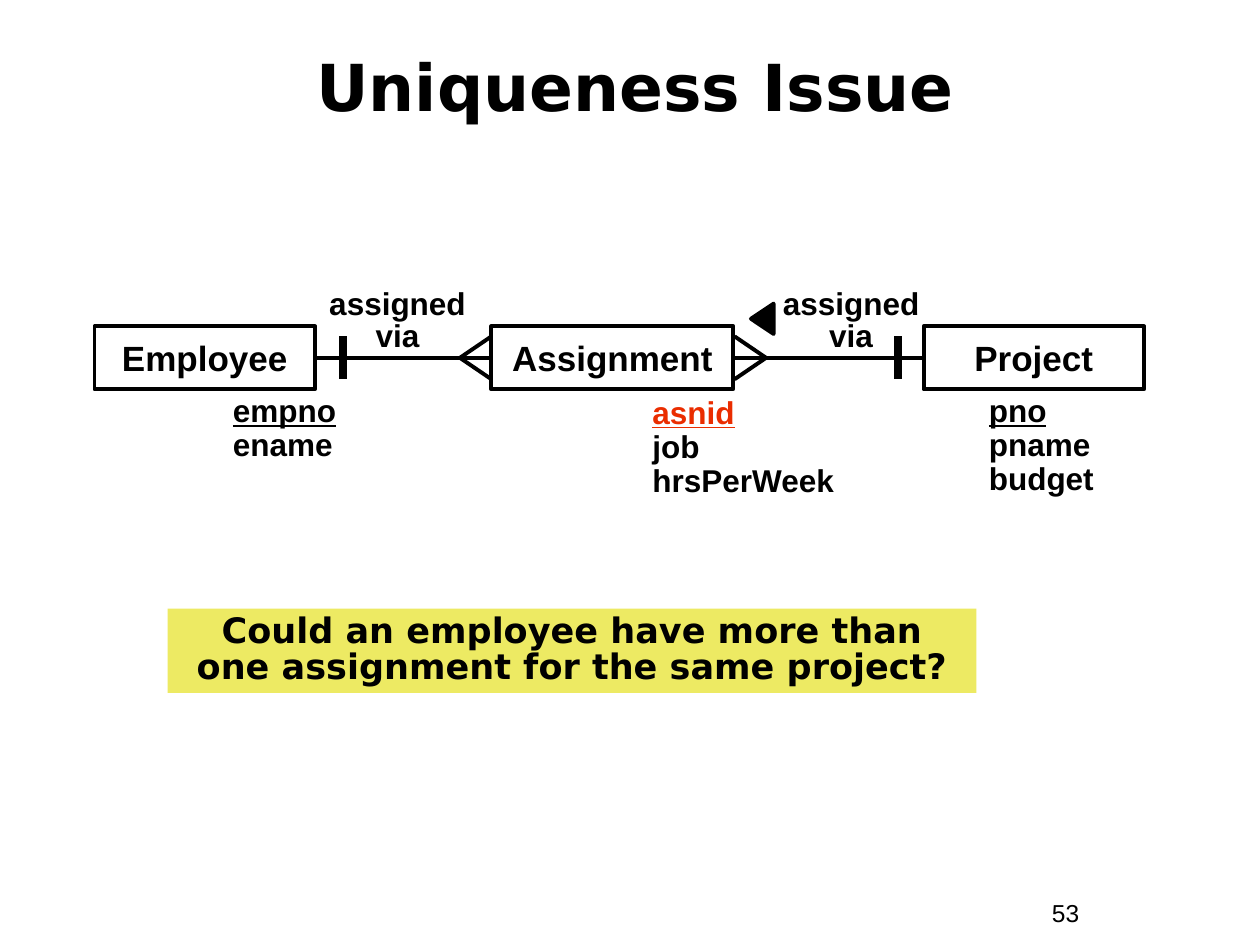
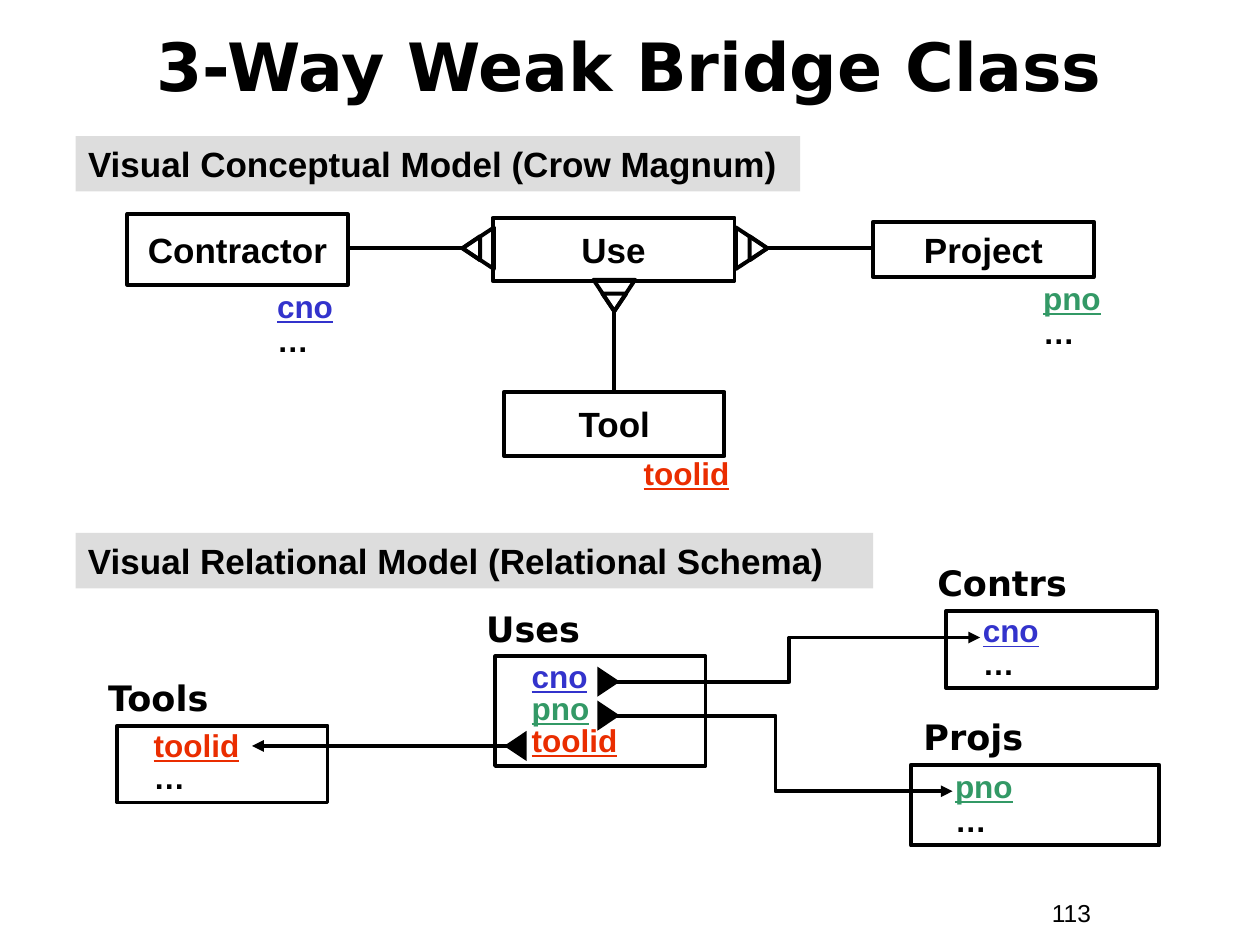
import math
from dataclasses import dataclass

from lxml import etree
from pptx import Presentation
from pptx.dml.color import RGBColor
from pptx.enum import shapes, text
from pptx.oxml import ns
from pptx.util import Inches, Pt

BLACK = RGBColor(0x00, 0x00, 0x00)
RED = RGBColor(0xEA, 0x2D, 0x00)
BLUE = RGBColor(0x33, 0x33, 0xCC)
GREEN = RGBColor(0x33, 0x99, 0x66)
YELLOW = RGBColor(0xED, 0xEA, 0x63)
GRAY = RGBColor(0xDD, 0xDD, 0xDD)

BODY_FONT = "Arial"
DISPLAY_FONT = "DejaVu Sans"
LINE_WIDTH = 2.25
BAR_WIDTH = 4.5
LEFT, CENTER = text.PP_ALIGN.LEFT, text.PP_ALIGN.CENTER
TOP, MIDDLE = text.MSO_ANCHOR.TOP, text.MSO_ANCHOR.MIDDLE
POINT_RIGHT, POINT_DOWN, POINT_LEFT = 90, 180, 270


@dataclass
class Box:
    left: float
    top: float
    width: float
    height: float

    @property
    def right(self):
        return self.left + self.width

    @property
    def bottom(self):
        return self.top + self.height

    def lengths(self):
        return [Inches(value) for value in (self.left, self.top, self.width, self.height)]


@dataclass
class Attribute:
    name: str
    color: RGBColor = BLACK
    is_key: bool = False


def key(name, color=BLACK):
    return Attribute(name, color, True)


REST = Attribute("…")


def add_shape(slide, kind, box, fill=None, line_width=0):
    shape = slide.shapes.add_shape(kind, *box.lengths())
    shape.shadow.inherit = False
    if fill is None:
        shape.fill.background()
    else:
        shape.fill.solid()
        shape.fill.fore_color.rgb = fill
    if line_width:
        shape.line.color.rgb = BLACK
        shape.line.width = Pt(line_width)
    else:
        shape.line.fill.background()
    return shape


def add_rectangle(slide, box, fill=None, line_width=0):
    return add_shape(slide, shapes.MSO_SHAPE.RECTANGLE, box, fill, line_width)


def add_text_box(slide, box):
    return slide.shapes.add_textbox(*box.lengths())


def write(shape, lines, size, font=BODY_FONT, bold=True, align=LEFT,
          anchor=TOP, spacing=1.0, wrap=True, indent=0):
    frame = shape.text_frame
    frame.word_wrap = wrap
    frame.vertical_anchor = anchor
    frame.margin_left = Inches(0.1 + indent)
    frame.text = "\n".join(line.name for line in lines)
    for paragraph, line in zip(frame.paragraphs, lines):
        paragraph.alignment = align
        paragraph.line_spacing = spacing
        paragraph.font.name = font
        paragraph.font.size = Pt(size)
        paragraph.font.bold = bold
        paragraph.font.underline = line.is_key
        paragraph.font.color.rgb = line.color


def write_line(shape, words, size, **style):
    write(shape, [Attribute(words)], size, **style)


def add_line(slide, start, end, width=LINE_WIDTH, arrow=False):
    kinds = shapes.MSO_CONNECTOR
    is_straight = start[0] == end[0] or start[1] == end[1] or not arrow
    kind = kinds.STRAIGHT if is_straight else kinds.ELBOW
    connector = slide.shapes.add_connector(
        kind, *(Inches(value) for value in (*start, *end)))
    connector.line.color.rgb = BLACK
    connector.line.width = Pt(width)
    if arrow:
        line = connector.line._get_or_add_ln()
        etree.SubElement(line, ns.qn("a:tailEnd"), type="triangle")
    etree.SubElement(connector._element.spPr, ns.qn("a:effectLst"))


def add_triangle(slide, apex, base, depth, rotation, fill=None, line_width=LINE_WIDTH):
    angle = math.radians(rotation)
    center_x = apex[0] - math.sin(angle) * depth / 2
    center_y = apex[1] + math.cos(angle) * depth / 2
    box = Box(center_x - base / 2, center_y - depth / 2, base, depth)
    triangle = add_shape(slide, shapes.MSO_SHAPE.ISOSCELES_TRIANGLE, box, fill, line_width)
    triangle.rotation = rotation


def add_frame(slide, title_box, title, size, number, spacing=1.0):
    write_line(add_text_box(slide, title_box), title, size, font=DISPLAY_FONT,
               align=CENTER, anchor=MIDDLE, spacing=spacing)
    write_line(add_text_box(slide, Box(8.25, 7.08, 0.92, 0.34)), number, 14, bold=False)


def add_entity(slide, box, name, attributes=(), indent=0.0, drop=0.0):
    write_line(add_rectangle(slide, box, line_width=LINE_WIDTH), name, 20,
               align=CENTER, anchor=MIDDLE, wrap=False)
    if attributes:
        height = 0.1 + 0.27 * len(attributes)
        list_box = Box(box.left + indent, box.bottom + drop, 1.75, height)
        write(add_text_box(slide, list_box), attributes, 18, spacing=0.9)


def add_relation_label(slide, box):
    write_line(add_text_box(slide, box), "assigned via", 18, align=CENTER, spacing=0.85)


def add_one_to_many(slide, one_x, many_x, y):
    toward_one = math.copysign(1, one_x - many_x)
    apex = (many_x + 0.25 * toward_one, y)
    add_line(slide, (one_x, y), (many_x, y))
    for rise in (-0.17, 0.17):
        add_line(slide, apex, (many_x, y + rise))
    bar_x = one_x - 0.2 * toward_one
    add_line(slide, (bar_x, y - 0.17), (bar_x, y + 0.17), BAR_WIDTH)


def add_weak_end(slide, apex, rotation, partner):
    add_triangle(slide, apex, 0.33, 0.25, rotation)
    if rotation == POINT_DOWN:
        base_side = (apex[0], apex[1])
        add_triangle(slide, base_side, 0.19, 0.14, rotation)
    else:
        add_triangle(slide, apex, 0.19, 0.14, rotation)
    add_line(slide, apex, partner)


def add_heading(slide, box, words):
    write_line(add_rectangle(slide, box, GRAY), words, 20)


def add_schema_table(slide, box, name, columns, indent=0.19, name_shift=0.17, spacing=0.85):
    name_box = Box(box.left - name_shift, box.top - 0.44, 2.15, 0.44)
    write_line(add_text_box(slide, name_box), name, 20, font=DISPLAY_FONT)
    write(add_rectangle(slide, box, line_width=LINE_WIDTH), columns, 18,
          spacing=spacing, indent=indent)


def add_foreign_key(slide, apex, target, rotation):
    backward = -0.17 if rotation == POINT_RIGHT else 0.17
    add_line(slide, (apex[0] + backward, apex[1]), target, arrow=True)
    add_triangle(slide, apex, 0.24, 0.18, rotation, BLACK, 0)


def add_assignment_model(slide, box):
    middle = box.top + box.height / 2
    employee = Box(box.left, box.top, 1.75, box.height)
    assignment = Box(box.left + 3.15, box.top, 1.92, box.height)
    project = Box(box.right - 1.75, box.top, 1.75, box.height)
    add_entity(slide, employee, "Employee", [key("empno"), Attribute("ename")], 1.0)
    add_entity(slide, assignment, "Assignment",
               [key("asnid", RED), Attribute("job"), Attribute("hrsPerWeek")], 1.18, 0.01)
    add_entity(slide, project, "Project",
               [key("pno"), Attribute("pname"), Attribute("budget")], 0.42)
    add_one_to_many(slide, employee.right + 0.02, assignment.left, middle)
    add_one_to_many(slide, project.left, assignment.right + 0.01, middle)
    for label_left in (employee.right - 0.01, assignment.right + 0.27):
        add_relation_label(slide, Box(label_left, box.top - 0.34, 1.33, 0.61))
    add_triangle(slide, (assignment.right + 0.14, box.top - 0.06),
                 0.24, 0.18, POINT_LEFT, BLACK)


def add_question(slide, box):
    write_line(add_rectangle(slide, box, YELLOW),
               "Could an employee have more than one assignment for the same project?",
               20, font=DISPLAY_FONT, align=CENTER, spacing=0.85)


def add_conceptual_model(slide, box):
    add_heading(slide, Box(box.left, box.top, 5.75, 0.44),
                "Visual Conceptual Model (Crow Magnum)")
    use = Box(box.left + 3.31, box.top + 0.65, 1.92, 0.5)
    contractor = Box(box.left + 0.41, box.top + 0.62, 1.75, 0.56)
    project = Box(box.left + 6.33, box.top + 0.68, 1.75, 0.44)
    tool = Box(box.left + 3.4, box.top + 2.03, 1.75, 0.51)
    add_entity(slide, use, "Use")
    add_entity(slide, contractor, "Contractor", [key("cno", BLUE), REST], 1.09)
    add_entity(slide, project, "Project", [key("pno", GREEN), REST], 1.25)
    add_entity(slide, tool, "Tool", [key("toolid", RED)], 1.01, -0.03)
    middle = use.top + 0.24
    center = tool.left + tool.width / 2
    add_weak_end(slide, (use.left - 0.24, middle), POINT_LEFT, (contractor.right, middle))
    add_weak_end(slide, (use.right + 0.26, middle), POINT_RIGHT, (project.left, middle))
    add_weak_end(slide, (center, use.bottom + 0.24), POINT_DOWN, (center, tool.top))


def add_relational_model(slide, box):
    add_heading(slide, Box(box.left, box.top, 6.33, 0.44),
                "Visual Relational Model (Relational Schema)")
    tools = Box(box.left + 0.33, box.top + 1.53, 1.67, 0.61)
    uses = Box(box.left + 3.33, box.top + 0.98, 1.67, 0.87)
    contractors = Box(box.left + 6.91, box.top + 0.62, 1.67, 0.61)
    projects = Box(box.left + 6.63, box.top + 1.84, 1.97, 0.64)
    add_schema_table(slide, tools, "Tools", [key("toolid", RED), REST])
    add_schema_table(slide, uses, "Uses",
                     [key("cno", BLUE), key("pno", GREEN), key("toolid", RED)])
    add_schema_table(slide, contractors, "Contrs", [key("cno", BLUE), REST])
    add_schema_table(slide, projects, "Projs", [key("pno", GREEN), REST], 0.25, 0, 0.9)
    add_foreign_key(slide, (uses.left + 0.99, uses.top + 0.2),
                    (contractors.left + 0.27, contractors.top + 0.21), POINT_RIGHT)
    add_foreign_key(slide, (uses.left + 0.99, uses.top + 0.47),
                    (projects.left + 0.33, projects.top + 0.21), POINT_RIGHT)
    toolid_y = uses.top + 0.71
    add_foreign_key(slide, (uses.left + 0.07, toolid_y),
                    (tools.left + 1.07, toolid_y), POINT_LEFT)


def build_uniqueness_slide(slide):
    add_frame(slide, Box(0.33, 0.19, 9.42, 1.08), "Uniqueness Issue", 37, "53", 0.85)
    add_assignment_model(slide, Box(0.75, 2.59, 8.33, 0.5))
    add_question(slide, Box(1.33, 4.83, 6.42, 0.67))


def build_weak_bridge_slide(slide):
    add_frame(slide, Box(0.33, 0.1, 9.33, 0.83), "3-Way Weak Bridge Class", 38, "113")
    add_conceptual_model(slide, Box(0.6, 1.08, 8.58, 2.88))
    add_relational_model(slide, Box(0.6, 4.23, 8.6, 2.48))


def main():
    presentation = Presentation()
    presentation.slide_width = Inches(10)
    presentation.slide_height = Inches(7.5)
    for build in (build_uniqueness_slide, build_weak_bridge_slide):
        build(presentation.slides.add_slide(presentation.slide_layouts[6]))
    presentation.save("out.pptx")


if __name__ == "__main__":
    main()
